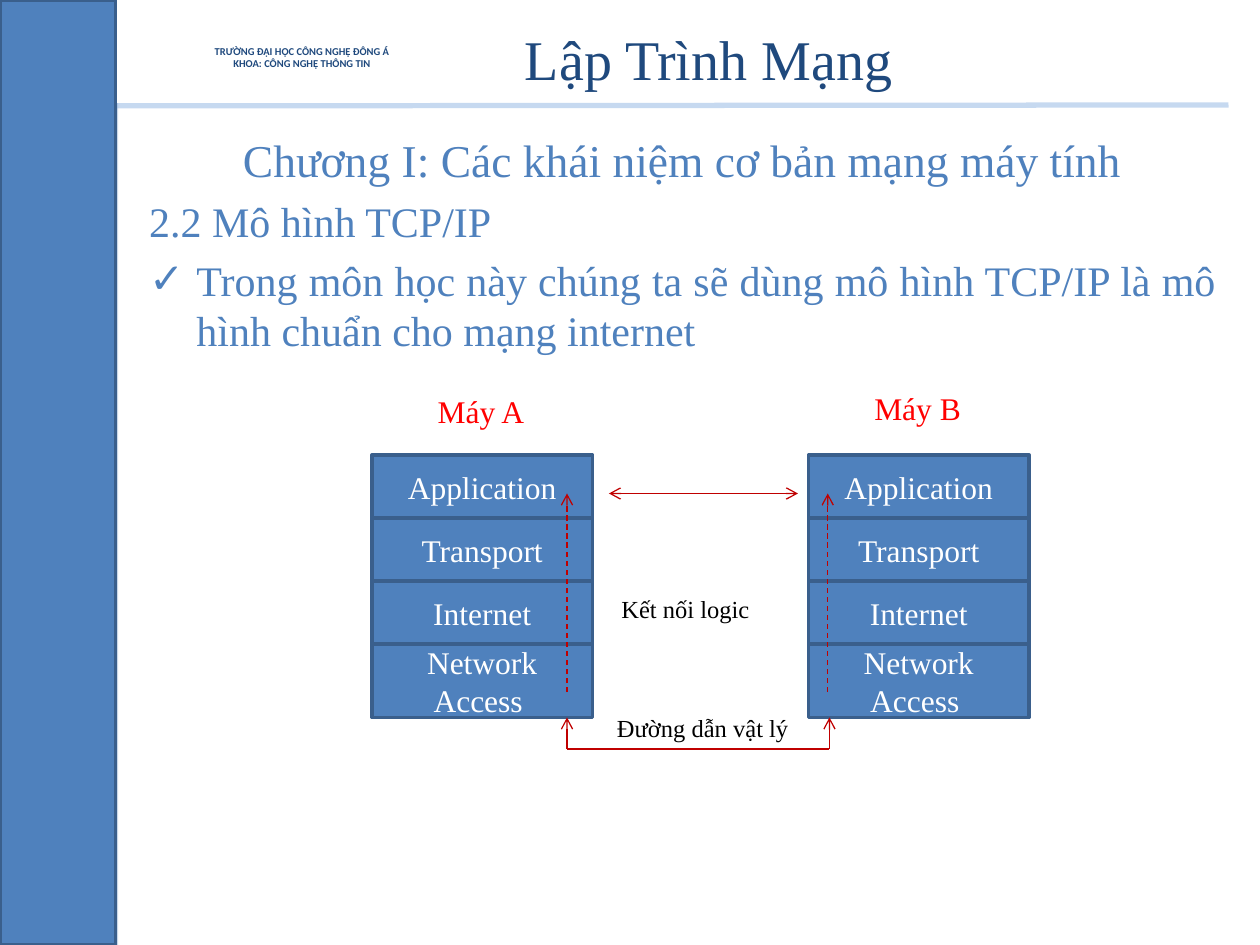
from lxml import etree
from pptx import Presentation
from pptx.dml.color import RGBColor
from pptx.enum.dml import MSO_LINE
from pptx.enum.shapes import MSO_CONNECTOR, MSO_SHAPE
from pptx.enum.text import MSO_ANCHOR, MSO_AUTO_SIZE, PP_ALIGN
from pptx.oxml.ns import qn
from pptx.util import Pt

CENTER, JUSTIFY = PP_ALIGN.CENTER, PP_ALIGN.JUSTIFY
MIDDLE = MSO_ANCHOR.MIDDLE
STRAIGHT = MSO_CONNECTOR.STRAIGHT
RECTANGLE = MSO_SHAPE.RECTANGLE
DASH = MSO_LINE.DASH
FIT_SHAPE = MSO_AUTO_SIZE.SHAPE_TO_FIT_TEXT

SERIF = "Times New Roman"
BLUE, NAVY, EDGE = "4F81BD", "1F497D", "3A5F8C"
WHITE, BLACK, RED, DARK_RED = "FFFFFF", "000000", "FF0000", "C00000"


def color(hex_string):
    return RGBColor.from_string(hex_string)


def set_font(paragraph, size, hex_string, name=SERIF):
    paragraph.font.size = Pt(size)
    paragraph.font.name = name
    paragraph.font.color.rgb = color(hex_string)


presentation = Presentation()
presentation.slide_width, presentation.slide_height = Pt(720), Pt(540)
slide = presentation.slides.add_slide(presentation.slide_layouts[0])
shapes = slide.shapes

# Title
title = shapes.title
title.left, title.top, title.width, title.height = Pt(222), Pt(6), Pt(366), Pt(54)
title.text_frame.text = "Lập Trình Mạng"
title.text_frame.paragraphs[0].alignment = CENTER
set_font(title.text_frame.paragraphs[0], 32, NAVY)

# Chapter text
body = slide.placeholders[1]
body.left, body.top, body.width, body.height = Pt(78), Pt(72), Pt(624), Pt(456)
body_lines = [
    ("Chương I: Các khái niệm cơ bản mạng máy tính", 26, CENTER, False),
    ("2.2 Mô hình TCP/IP", 24, JUSTIFY, False),
    ("Trong môn học này chúng ta sẽ dùng mô hình TCP/IP là mô hình chuẩn "
     "cho mạng internet", 24, JUSTIFY, True),
]
body.text_frame.text = "\n".join(line[0] for line in body_lines)
for paragraph, (_, size, alignment, checked) in zip(body.text_frame.paragraphs, body_lines):
    paragraph.alignment = alignment
    if checked:
        properties = paragraph._p.get_or_add_pPr()
        properties.set("marL", str(Pt(27)))
        properties.set("indent", str(-Pt(27)))
        etree.SubElement(properties, qn("a:buChar")).set("char", "✓")
    set_font(paragraph, size, BLUE)

# Frame lines and side bar
for start_x, start_y, end_x, end_y, line_color in [
    (66, 36, 66, 540, "95B3D7"),
    (66, 60.5, 702, 60, "8EB4E3"),
]:
    line = shapes.add_connector(STRAIGHT, Pt(start_x), Pt(start_y), Pt(end_x), Pt(end_y))
    line.line.color.rgb = color(line_color)
    line.line.width = Pt(3)
    line_fill = line._element.spPr.find(".//" + qn("a:srgbClr"))
    etree.SubElement(line_fill, qn("a:alpha")).set("val", "50000")
    etree.SubElement(line._element.spPr, qn("a:effectLst"))

side_bar = shapes.add_shape(RECTANGLE, 0, 0, Pt(66), Pt(540))
side_bar.shadow.inherit = False
side_bar.fill.solid()
side_bar.fill.fore_color.rgb = color(BLUE)
side_bar.line.color.rgb = color(EDGE)
side_bar.line.width = Pt(2)

# School name table
table = shapes.add_table(1, 2, Pt(67.5), Pt(8.5), Pt(178), Pt(49)).table
table.columns[0].width, table.columns[1].width = Pt(32), Pt(146)
for cell in table.rows[0].cells:
    cell.margin_left = cell.margin_right = Pt(5)
    cell.margin_top = cell.margin_bottom = 0
    cell.vertical_anchor = MIDDLE
    cell_properties = cell._tc.get_or_add_tcPr()
    for side, width in [("L", 1), ("R", 1), ("T", 1), ("B", 3)]:
        border = etree.SubElement(cell_properties, qn("a:ln" + side), w=str(Pt(width)))
        border_fill = etree.SubElement(border, qn("a:solidFill"))
        etree.SubElement(border_fill, qn("a:srgbClr"), val=WHITE)
    cell.fill.solid()
    cell.fill.fore_color.rgb = color(WHITE)
school = table.cell(0, 1).text_frame
school.text = "TRƯỜNG ĐẠI HỌC CÔNG NGHỆ ĐÔNG Á\nKHOA: CÔNG NGHỆ THÔNG TIN"
for paragraph in school.paragraphs:
    paragraph.alignment = CENTER
    set_font(paragraph, 6, NAVY, "Calibri")
    paragraph.font.bold = True

# Layer stacks of both machines
layers = [("Application", 36), ("Transport", 36), ("Internet", 36), ("Network Access ", 42)]
for left in (212.5, 462):
    top = 260
    for name, height in layers:
        layer = shapes.add_shape(RECTANGLE, Pt(left), Pt(top), Pt(126), Pt(height))
        layer.shadow.inherit = False
        layer.fill.solid()
        layer.fill.fore_color.rgb = color(BLUE)
        layer.line.color.rgb = color(EDGE)
        layer.line.width = Pt(2)
        layer.text_frame.text = name
        layer.text_frame.vertical_anchor = MIDDLE
        layer.text_frame.paragraphs[0].alignment = CENTER
        set_font(layer.text_frame.paragraphs[0], 18, WHITE)
        top += height

# Labels
for text, left, top, width, height, size, text_color in [
    ("Máy A", 243, 220.5, 65, 29, 18, RED),
    ("Máy B", 492.5, 219, 65, 29, 18, RED),
    ("Đường dẫn vật lý", 345.5, 404, 113, 24.5, 14, BLACK),
    ("Kết nối logic", 348, 336, 88.5, 24.5, 14, BLACK),
]:
    label = shapes.add_textbox(Pt(left), Pt(top), Pt(width), Pt(height))
    label.text_frame.word_wrap = False
    label.text_frame.auto_size = FIT_SHAPE
    label.text_frame.text = text
    set_font(label.text_frame.paragraphs[0], size, text_color)

# Physical path, logical link and dashed data flow
for start_x, start_y, end_x, end_y, arrow_ends, dashed in [
    (324, 428, 324, 410, ["tailEnd"], False),
    (474, 428, 474, 410, ["tailEnd"], False),
    (324, 428, 474, 428, [], False),
    (348, 282, 456, 282, ["headEnd", "tailEnd"], False),
    (324, 395.5, 324, 282, ["tailEnd"], True),
    (473, 395.5, 473, 282, ["tailEnd"], True),
]:
    link = shapes.add_connector(STRAIGHT, Pt(start_x), Pt(start_y), Pt(end_x), Pt(end_y))
    link.line.color.rgb = color(DARK_RED)
    link.line.width = Pt(0.75)
    if dashed:
        link.line.dash_style = DASH
    for arrow_end in arrow_ends:
        etree.SubElement(link.line._get_or_add_ln(), qn("a:" + arrow_end), type="arrow")
    etree.SubElement(link._element.spPr, qn("a:effectLst"))

presentation.save("out.pptx")
